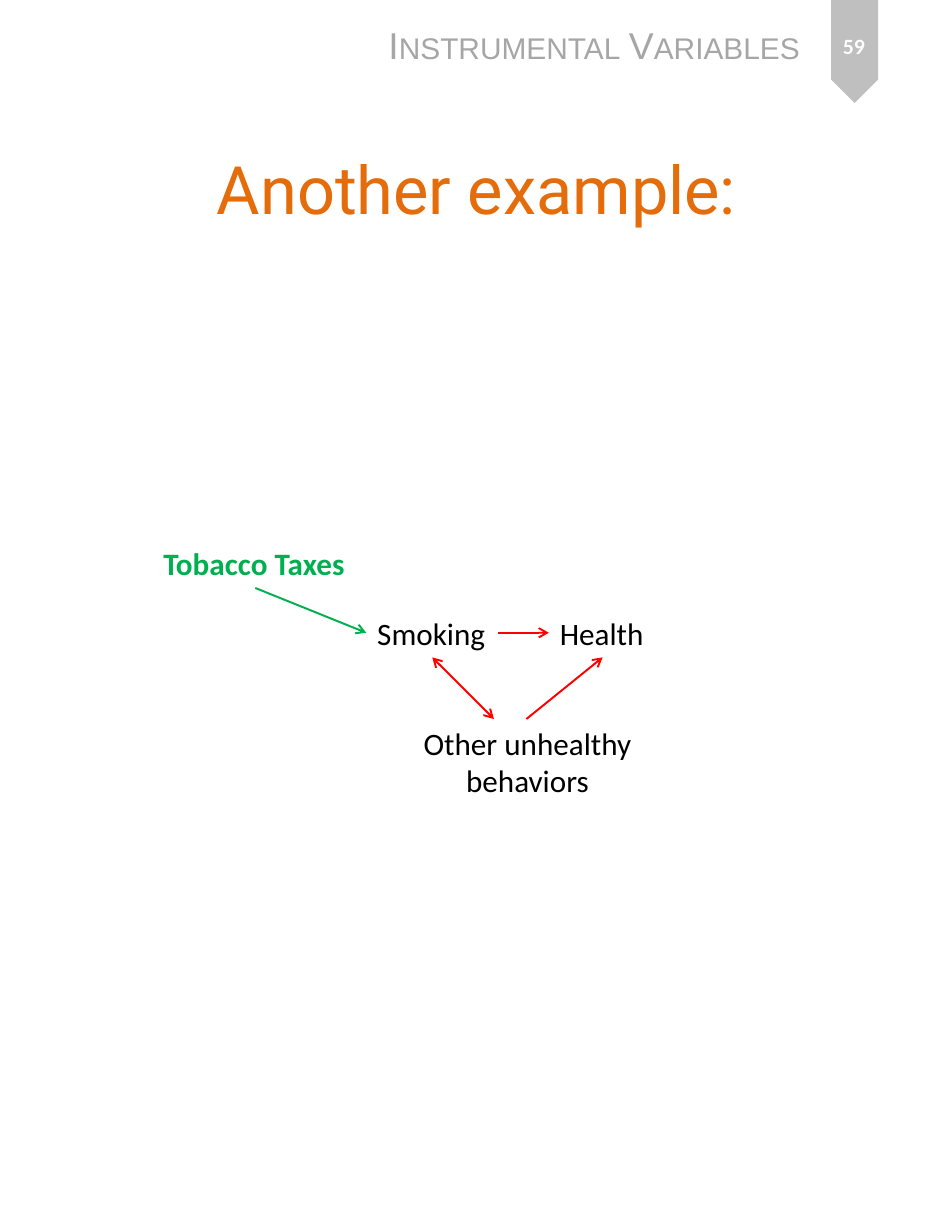
import pptx
import pptx.util
import pptx.dml.color
import pptx.enum.shapes
import pptx.enum.text
import pptx.oxml.ns
import lxml.etree

Inches, Pt = pptx.util.Inches, pptx.util.Pt
ALIGN = pptx.enum.text.PP_ALIGN
ANCHOR = pptx.enum.text.MSO_ANCHOR
COLORS = {
    "banner": "BFBFBF", "header": "A6A6A6", "number": "FFFFFF",
    "title": "E46C0A", "body": "000000", "instrument": "00B050", "effect": "FF0000",
}


def color(name):
    return pptx.dml.color.RGBColor.from_string(COLORS[name])


def add_text(slide, box, lines, size, color_name, font="Calibri", bold=False,
             align=ALIGN.LEFT, anchor=ANCHOR.TOP, wrap=False, small_caps=False):
    label = slide.shapes.add_textbox(*map(Inches, box))
    frame = label.text_frame
    frame.word_wrap = wrap
    frame.vertical_anchor = anchor
    paragraph = frame.paragraphs[0]
    paragraph.alignment = align
    for i, line in enumerate(lines):
        if i:
            paragraph.add_line_break()
        run = paragraph.add_run()
        run.text = line
        run.font.size = Pt(size)
        run.font.name = font
        run.font.bold = bold
        run.font.color.rgb = color(color_name)
        if small_caps:
            run._r.get_or_add_rPr().set("cap", "small")


def add_arrow(slide, start, end, color_name, both_ends=False):
    arrow = slide.shapes.add_connector(
        pptx.enum.shapes.MSO_CONNECTOR.STRAIGHT, *map(Inches, (*start, *end)))
    arrow.line.color.rgb = color(color_name)
    arrow.line.width = Pt(1.25)
    qn = pptx.oxml.ns.qn
    line = arrow.line._get_or_add_ln()
    for tag in ("a:headEnd", "a:tailEnd") if both_ends else ("a:tailEnd",):
        lxml.etree.SubElement(line, qn(tag), type="arrow")
    lxml.etree.SubElement(arrow._element.spPr, qn("a:effectLst"))


def add_header(slide, left, top):
    # Page banner: a pentagon turned to point downward
    banner = slide.shapes.add_shape(
        pptx.enum.shapes.MSO_SHAPE.PENTAGON, Inches(left + 3.8), Inches(top + 0.25),
        Inches(0.92), Inches(0.42))
    banner.rotation = 90
    banner.shadow.inherit = False
    banner.fill.solid()
    banner.fill.fore_color.rgb = color("banner")
    banner.line.fill.background()

    # Section name and page number
    add_text(slide, (left, top + 0.15, 3.89, 0.5), ["Instrumental Variables"], 24,
             "header", font="Arial", small_caps=True)
    add_text(slide, (left + 3.92, top + 0.11, 0.67, 0.59), ["59"], 14, "number",
             bold=True, align=ALIGN.CENTER, anchor=ANCHOR.MIDDLE, wrap=True)


def add_causal_diagram(slide, left, top):
    def at(x, y):
        return left + x, top + y

    # Variables
    add_text(slide, (*at(0, 0), 1.83, 0.44), ["Tobacco Taxes"], 20, "instrument", bold=True)
    add_text(slide, (*at(1.91, 0.63), 1.17, 0.44), ["Smoking"], 20, "body")
    add_text(slide, (*at(3.54, 0.63), 0.96, 0.44), ["Health"], 20, "body")
    add_text(slide, (*at(2.31, 1.61), 2.08, 0.77), ["Other unhealthy", "behaviors"], 20,
             "body", align=ALIGN.CENTER)

    # Causal paths
    add_arrow(slide, at(0.92, 0.44), at(1.91, 0.84), "instrument")
    add_arrow(slide, at(3.09, 0.84), at(3.54, 0.84), "effect")
    add_arrow(slide, at(3.34, 1.61), at(4.02, 1.06), "effect")
    add_arrow(slide, at(2.5, 1.06), at(3.05, 1.61), "effect", both_ends=True)


def main():
    deck = pptx.Presentation()
    deck.slide_width, deck.slide_height = Inches(8.5), Inches(11)
    slide = deck.slides.add_slide(deck.slide_layouts[6])
    add_header(slide, 3.37, 0)
    add_text(slide, (0.43, 1.27, 7.65, 1.83), ["Another example:"], 42.9, "title",
             font="Roboto", align=ALIGN.CENTER, wrap=True)
    add_causal_diagram(slide, 1.36, 4.81)
    deck.save("out.pptx")


if __name__ == "__main__":
    main()
